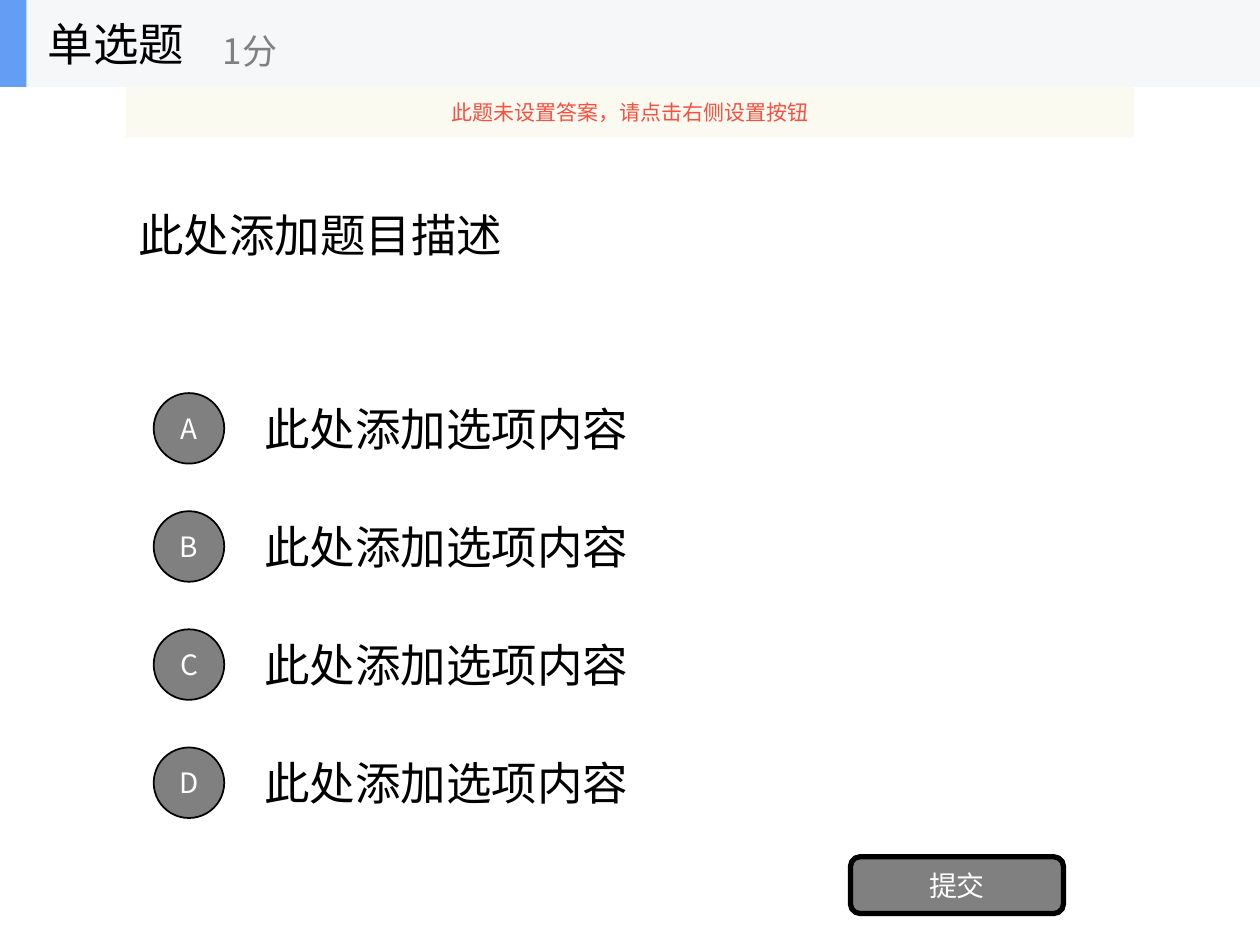
"""Build a single-choice question slide with four options and a submit button."""
from lxml.etree import SubElement
from pptx import Presentation
from pptx.dml.color import RGBColor
from pptx.enum.shapes import MSO_SHAPE
from pptx.enum.text import MSO_ANCHOR, PP_ALIGN
from pptx.oxml.ns import qn
from pptx.util import Inches, Pt

FONT = "Noto Sans CJK SC"


def add_text(box, text, size, color, align=PP_ALIGN.LEFT):
    frame = box.text_frame
    frame.word_wrap = True
    frame.vertical_anchor = MSO_ANCHOR.MIDDLE
    para = frame.paragraphs[0]
    para.alignment = align
    span = para.add_run()
    span.text = text
    span.font.size = Pt(size)
    span.font.name = FONT
    span.font.color.rgb = RGBColor.from_string(color)
    SubElement(span.font._element, qn("a:ea"), typeface=FONT)


def add_block(shapes, kind, place, fill, line_width=0):
    block = shapes.add_shape(kind, *map(Inches, place))
    block.shadow.inherit = False
    block.fill.solid()
    block.fill.fore_color.rgb = RGBColor.from_string(fill)
    if line_width:
        block.line.color.rgb = RGBColor.from_string("000000")
        block.line.width = Pt(line_width)
    else:
        block.line.fill.background()
    frame = block.text_frame
    frame.margin_left = frame.margin_right = 0
    frame.margin_top = frame.margin_bottom = 0
    return block


deck = Presentation()
deck.slide_width, deck.slide_height = Inches(10), Inches(7.5)
page = deck.slides.add_slide(deck.slide_layouts[6])
shapes = page.shapes

question = shapes.add_textbox(Inches(1), Inches(0.69), Inches(8), Inches(2.34))
add_text(question, "此处添加题目描述", 26, "000000")

for index, letter in enumerate("ABCD"):
    top = 3.05 + index * 0.9375
    option = shapes.add_textbox(Inches(2), Inches(top), Inches(7), Inches(0.7))
    add_text(option, "此处添加选项内容", 26, "000000")
    place = (1.22, top + 0.07, 0.56, 0.56)
    badge = add_block(shapes, MSO_SHAPE.OVAL, place, "808080", 1)
    add_text(badge, letter, 16, "FFFFFF", PP_ALIGN.CENTER)

submit = add_block(shapes, MSO_SHAPE.ROUNDED_RECTANGLE, (6.75, 6.8, 1.69, 0.45), "808080", 3)
add_text(submit, "提交", 16, "FFFFFF", PP_ALIGN.CENTER)

header = shapes.add_group_shape().shapes
add_block(header, MSO_SHAPE.RECTANGLE, (0, 0, 10, 0.69), "F6F7F8")
add_block(header, MSO_SHAPE.RECTANGLE, (0, 0, 0.21, 0.69), "639EF4")
title = header.add_textbox(Inches(0.28), 0, Inches(2.08), Inches(0.69))
add_text(title, "单选题", 26, "000000")
score = header.add_textbox(Inches(1.67), Inches(0.12), Inches(2.5), Inches(0.56))
add_text(score, "1分", 20, "808080")

notice = add_block(shapes, MSO_SHAPE.RECTANGLE, (1, 0.69, 8, 0.4), "FBFAEF")
notice_color = notice._element.spPr.find(qn("a:solidFill")).find(qn("a:srgbClr"))
SubElement(notice_color, qn("a:alpha"), val="90000")
add_text(notice, "此题未设置答案，请点击右侧设置按钮", 12, "F84F41", PP_ALIGN.CENTER)

deck.save("out.pptx")
